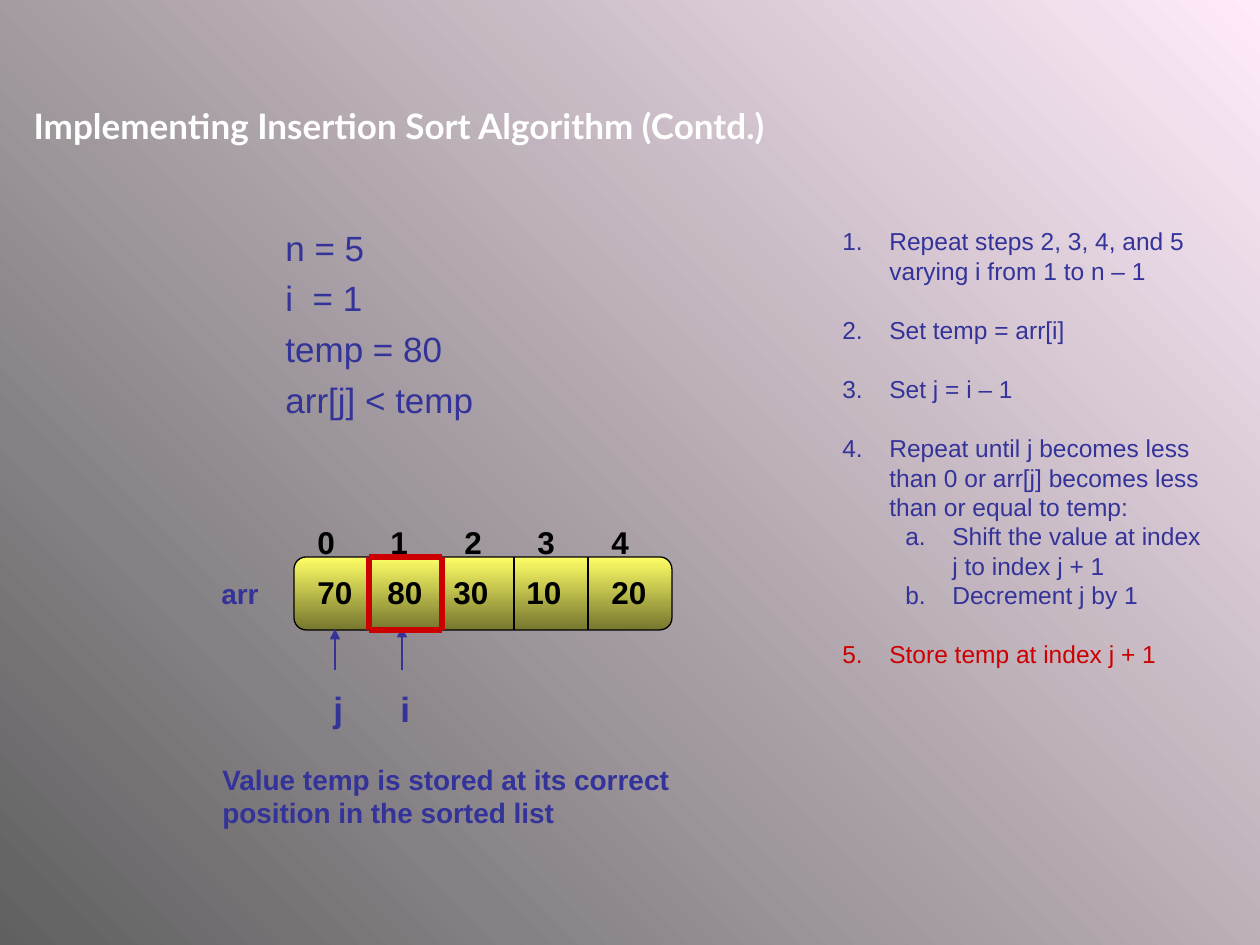
"""Build the insertion sort slide with its variables, array state and steps."""
from dataclasses import dataclass
from itertools import pairwise

from lxml.etree import SubElement
from pptx import Presentation
from pptx.dml.color import RGBColor as RGB
from pptx.enum.shapes import MSO_CONNECTOR as CONNECTOR, MSO_SHAPE as SHAPE
from pptx.enum.text import MSO_ANCHOR as ANCHOR, MSO_AUTO_SIZE as AUTO_SIZE, PP_ALIGN as ALIGN
from pptx.oxml.ns import qn
from pptx.util import Emu, Pt


@dataclass(frozen=True)
class Theme:
    ink: str = "333399"
    accent: str = "CC0000"
    black: str = "000000"
    white: str = "FFFFFF"
    backdrop: tuple = ("606060", "FFEBFA")
    cells: tuple = ("FFFF66", "76762F")
    heading_font: str = "Lato"
    body_font: str = "Arial"
    large: int = 20
    medium: int = 18
    small: int = 16
    tiny: int = 14


THEME = Theme()
ARRAY_LEFT, ARRAY_TOP, ARRAY_BOTTOM = 294, 557, 630
VARIABLES = ["n = 5", "i  = 1", "temp = 80", "arr[j] < temp"]
VALUES = [("70", 305), ("80", 375), ("30", 441), ("10", 514), ("20", 599)]
POINTERS = [("i", 402, 627, 388, 681), ("j", 335, 629, 321, 681)]
STEPS = [
    (0, "Repeat steps 2, 3, 4, and 5 varying i from 1 to n – 1", THEME.ink),
    (0, "Set temp = arr[i]", THEME.ink),
    (0, "Set j = i – 1", THEME.ink),
    (0, "Repeat until j becomes less than 0 or arr[j] becomes less than or equal to temp:", THEME.ink),
    (1, "Shift the value at index j to index j + 1", THEME.ink),
    (1, "Decrement j by 1", THEME.ink),
    (0, "Store temp at index j + 1", THEME.accent),
]


def px(length):
    return Emu(round(length * 914400 / 126))


def cell_offset(index):
    return index * 147 // 2


def paint_gradient(fill, colors, angle):
    fill.gradient()
    fill.gradient_angle = angle
    for stop, color in zip(fill.gradient_stops, colors):
        stop.color.rgb = RGB.from_string(color)


def style_runs(paragraph, size, color, bold=False, font=THEME.body_font):
    for run in paragraph.runs:
        run.font.size = Pt(size)
        run.font.name = font
        run.font.bold = bold
        run.font.color.rgb = RGB.from_string(color)


def indent(paragraph, left, hanging):
    properties = paragraph._p.get_or_add_pPr()
    properties.set("marL", str(px(left)))
    properties.set("indent", str(-px(hanging)))
    return properties


def number(paragraph, scheme, color):
    properties = indent(paragraph, 47 + 63 * paragraph.level, 47)
    bullet_color = SubElement(properties, qn("a:buClr"))
    SubElement(bullet_color, qn("a:srgbClr"), val=color)
    SubElement(properties, qn("a:buFont"), typeface=THEME.body_font)
    SubElement(properties, qn("a:buAutoNum"), type=scheme)


def add_text(slide, text, box, size, color=THEME.ink, bold=True, wrap=False):
    frame = slide.shapes.add_textbox(*map(px, box)).text_frame
    frame.word_wrap = wrap
    frame.auto_size = AUTO_SIZE.NONE if wrap else AUTO_SIZE.SHAPE_TO_FIT_TEXT
    frame.text = text
    for paragraph in frame.paragraphs:
        style_runs(paragraph, size, color, bold)
    return frame


def add_line(slide, start, end, color, width=0.75, arrow=False):
    line = slide.shapes.add_connector(CONNECTOR.STRAIGHT, *map(px, (*start, *end)))
    line.line.color.rgb = RGB.from_string(color)
    line.line.width = Pt(width)
    if arrow:
        SubElement(line.line._get_or_add_ln(), qn("a:tailEnd"), type="triangle")
    SubElement(line._element.spPr, qn("a:effectLst"))


def set_title(slide, text):
    title = slide.shapes.title
    title.left, title.top, title.width, title.height = map(px, (21, 98, 945, 55))
    frame = title.text_frame
    frame.text = text
    frame.word_wrap = True
    frame.auto_size = AUTO_SIZE.NONE
    frame.vertical_anchor = ANCHOR.TOP
    frame.paragraphs[0].alignment = ALIGN.LEFT
    style_runs(frame.paragraphs[0], THEME.large, THEME.white, True, THEME.heading_font)


def add_variables(slide):
    frame = add_text(slide, "\n".join(VARIABLES), (210, 220, 599, 661), THEME.large, bold=False, wrap=True)
    for paragraph in frame.paragraphs:
        paragraph.level = 1
        paragraph.space_before = Pt(5)
        indent(paragraph, 102, 39)


def add_array(slide):
    body = slide.shapes.add_shape(
        SHAPE.ROUNDED_RECTANGLE, *map(px, (ARRAY_LEFT, ARRAY_TOP, 378, ARRAY_BOTTOM - ARRAY_TOP)))
    body.shadow.inherit = False
    paint_gradient(body.fill, THEME.cells, 270)
    body.line.color.rgb = RGB.from_string(THEME.black)
    body.line.width = Pt(0.75)
    for index, (value, left) in enumerate(VALUES):
        add_text(slide, str(index), (305 + cell_offset(index), 517, 43, 50), THEME.medium, THEME.black)
        add_text(slide, value, (left, 567, 64, 50), THEME.medium, THEME.black, wrap=True)
        if index:
            divider = ARRAY_LEFT + cell_offset(index)
            add_line(slide, (divider, ARRAY_TOP), (divider, ARRAY_BOTTOM), THEME.black)
    add_text(slide, "arr", (209, 570, 64, 47), THEME.small)


def add_pointers(slide):
    for name, x, tip, left, top in POINTERS:
        add_line(slide, (x, 670), (x, tip), THEME.ink, arrow=True)
        add_text(slide, name, (left, top, 34, 55), THEME.large)


def add_highlight(slide):
    left, right = 369, 442
    corners = [(left, ARRAY_TOP), (right, ARRAY_TOP), (right, ARRAY_BOTTOM), (left, ARRAY_BOTTOM)]
    for start, end in pairwise(corners + corners[:1]):
        add_line(slide, start, end, THEME.accent, width=3)


def add_steps(slide):
    text = "\n".join(step for _, step, _ in STEPS)
    frame = add_text(slide, text, (830, 220, 388, 543), THEME.tiny, bold=False, wrap=True)
    for position, (paragraph, (level, _, color)) in enumerate(zip(frame.paragraphs, STEPS)):
        paragraph.level = level
        paragraph.space_before = Pt(0 if level or not position else 17)
        style_runs(paragraph, THEME.tiny, color)
        number(paragraph, "alphaLcPeriod" if level else "arabicPeriod", color)


def main():
    deck = Presentation()
    deck.slide_width, deck.slide_height = px(1260), px(945)
    slide = deck.slides.add_slide(deck.slide_layouts[5])
    paint_gradient(slide.background.fill, THEME.backdrop, 45)
    set_title(slide, "Implementing Insertion Sort Algorithm (Contd.)")
    add_variables(slide)
    add_array(slide)
    add_pointers(slide)
    add_highlight(slide)
    add_text(slide, "Value temp is stored at its correct position in the sorted list",
             (210, 756, 567, 81), THEME.small, wrap=True)
    add_steps(slide)
    deck.save("out.pptx")


if __name__ == "__main__":
    main()
